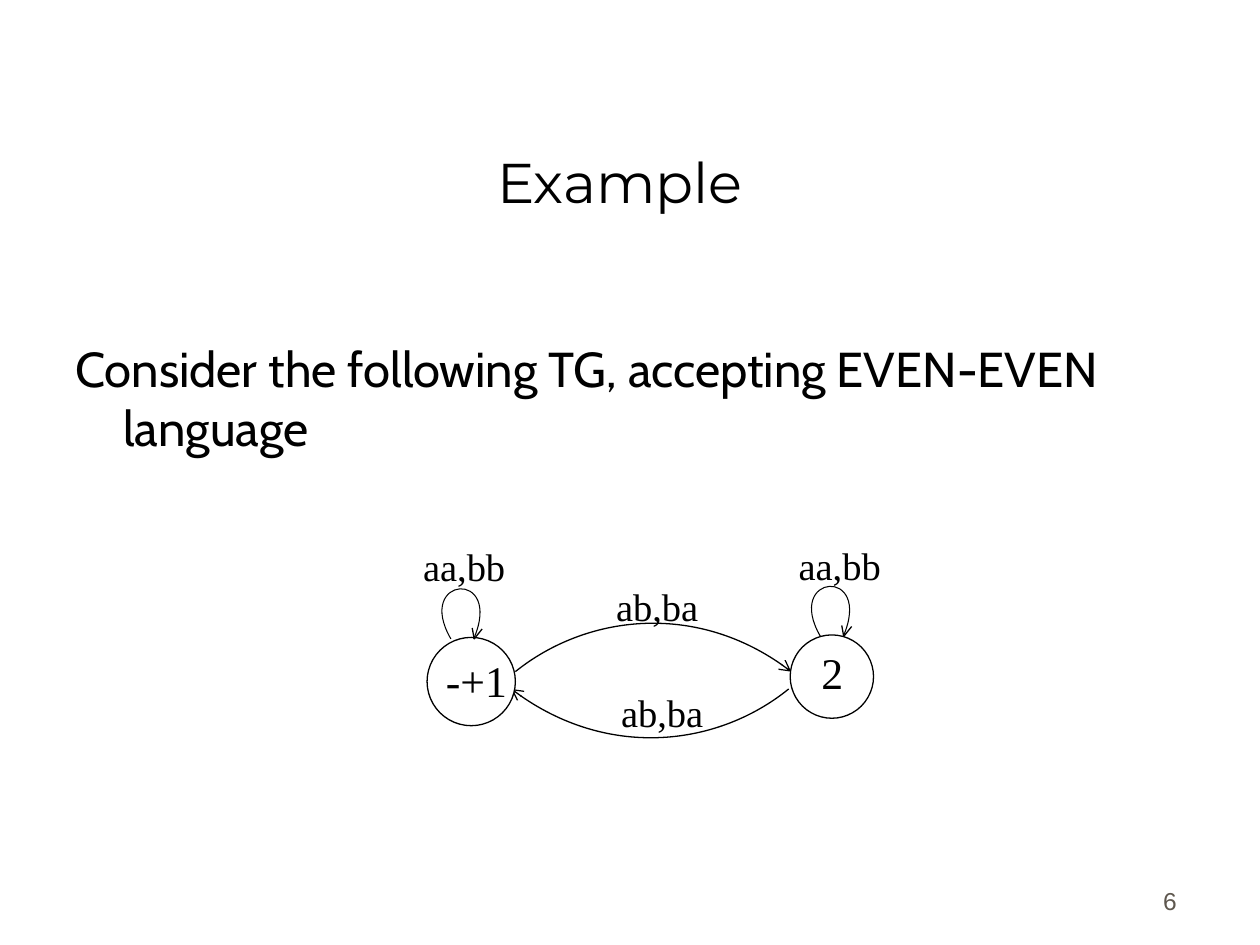
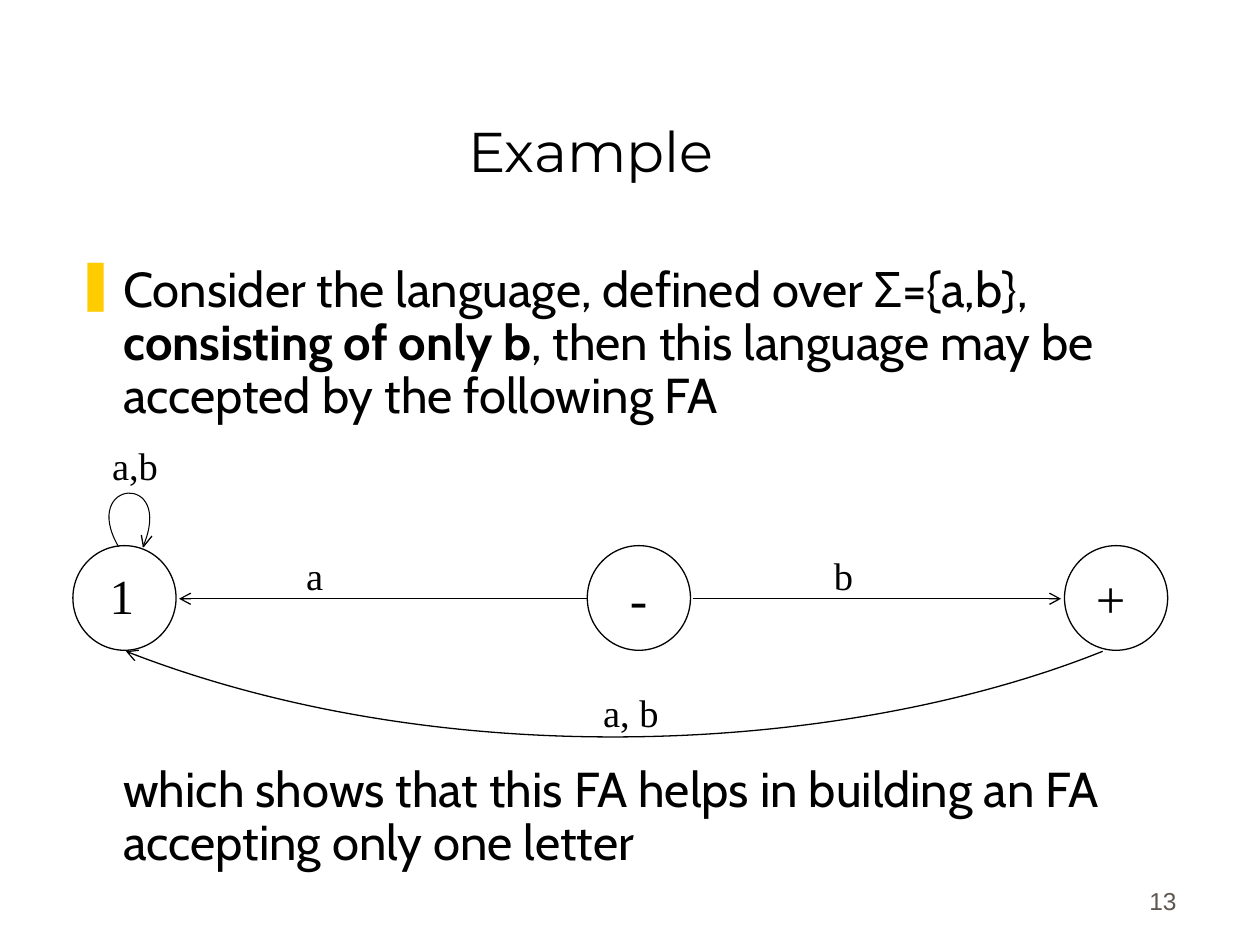
from pptx import Presentation
from pptx import util as u
from pptx.dml.color import RGBColor
from pptx.enum import shapes, text
from pptx.oxml import ns
from lxml import etree

BLACK, WHITE, GREY, YELLOW = "000000", "FFFFFF", "5E574E", "FFCC00"
TITLE_FONT, BODY_FONT, GRAPH_FONT, FOOTER_FONT = (
    "Montserrat", "Cabin", "Times New Roman", "Arial")
HANG = u.Cm(0.97)


def color(code):
    return RGBColor.from_string(code)


def child(parent, tag, **attributes):
    return etree.SubElement(parent, ns.qn(tag), **attributes)


class Deck:
    """Holds the shared style and the current slide."""

    def __init__(self):
        self.prs = Presentation()
        self.prs.slide_width, self.prs.slide_height = u.Cm(25.4), u.Cm(19.05)
        self.slide = None

    def new_slide(self, number, title_x, title_y):
        self.slide = self.prs.slides.add_slide(self.prs.slide_layouts[6])
        self.add_text(18.69, 17.3, 5.28, 1.27, [number], FOOTER_FONT, 14, GREY,
                      text.PP_ALIGN.RIGHT, text.MSO_ANCHOR.BOTTOM)
        self.add_text(title_x, title_y, 21.59, 3.18, ["Example"], TITLE_FONT, 32,
                      BLACK, text.PP_ALIGN.CENTER, text.MSO_ANCHOR.BOTTOM)

    def add_text(self, x, y, w, h, runs, font, size, ink=BLACK,
                 align=text.PP_ALIGN.LEFT, anchor=text.MSO_ANCHOR.TOP, wrap=True):
        """Add one paragraph; a run given as a tuple is bold."""
        box = self.slide.shapes.add_textbox(u.Cm(x), u.Cm(y), u.Cm(w), u.Cm(h))
        frame = box.text_frame
        frame.word_wrap, frame.vertical_anchor = wrap, anchor
        paragraph = frame.paragraphs[0]
        paragraph.alignment = align
        for words in runs:
            run = paragraph.add_run()
            run.font.bold = isinstance(words, tuple)
            run.text = words[0] if run.font.bold else words
            run.font.name, run.font.size = font, u.Pt(size)
            run.font.color.rgb = color(ink)
        return paragraph

    def body(self, y, h, runs, hanging=True, spacing=None, bullet=None):
        paragraph = self.add_text(1.27, y, 22.71, h, runs, BODY_FONT, 28)
        paragraph.line_spacing = spacing
        props = paragraph._p.get_or_add_pPr()
        props.set("marL", str(int(HANG)))
        props.set("indent", str(-int(HANG) if hanging else 0))
        if bullet:
            child(child(props, "a:buClr"), "a:srgbClr", val=YELLOW)
            child(props, "a:buChar", char=bullet)

    def label(self, x, y, words, size=22):
        self.add_text(x, y, 2.49, 1.7, [words], GRAPH_FONT, size)

    def state_name(self, x, y, w, words):
        self.add_text(x, y, w, 1.32, [words], GRAPH_FONT, 25, wrap=False)

    def outline(self, shape, width=0.75, arrow=False):
        shape.line.color.rgb = color(BLACK)
        shape.line.width = u.Pt(width)
        if arrow:
            child(shape.line._get_or_add_ln(), "a:tailEnd", type="arrow")

    def state(self, x, y, w, h):
        circle = self.slide.shapes.add_shape(
            shapes.MSO_SHAPE.OVAL, u.Cm(x), u.Cm(y), u.Cm(w), u.Cm(h))
        circle.shadow.inherit = False
        circle.fill.solid()
        circle.fill.fore_color.rgb = color(WHITE)
        self.outline(circle)

    def edge(self, x1, x2, y):
        """Draw a straight transition with an arrow at x2."""
        line = self.slide.shapes.add_connector(
            shapes.MSO_CONNECTOR.STRAIGHT, u.Cm(x1), u.Cm(y), u.Cm(x2), u.Cm(y))
        self.outline(line, arrow=True)
        child(line._element.spPr, "a:effectLst")

    def polyline(self, points, width=0.75, arrow=False):
        start, *rest = [(u.Cm(x), u.Cm(y)) for x, y in points]
        builder = self.slide.shapes.build_freeform(*start)
        builder.add_line_segments(rest, close=False)
        drawn = builder.convert_to_shape()
        drawn.shadow.inherit = False
        drawn.fill.background()
        self.outline(drawn, width, arrow)
        return drawn

    def curve(self, points, width=0.75, arrow=True):
        """Draw a cubic curve: start, two control points, end."""
        drawn = self.polyline(points, width, arrow)
        segments = list(drawn._element.iter(ns.qn("a:lnTo")))
        bezier = child(segments[0].getparent(), "a:cubicBezTo")
        for segment in segments:
            bezier.append(segment[0])
            segment.getparent().remove(segment)

    def loop(self, x, y, scale=1.0):
        """Draw a self-transition that leaves the state at x, y."""
        def place(offsets):
            return [(x + dx * scale, y + dy * scale) for dx, dy in offsets]
        self.curve(place([(0, 0), (-0.74, -1.27), (1.07, -1.42), (0.46, 0)]),
                   width=0.6, arrow=False)
        self.polyline(place([(0.63, -0.2), (0.47, 0), (0.43, -0.22)]))


def even_even(deck):
    deck.new_slide("6", 1.7, 1.27)
    deck.body(6.7, 3, ["Consider the following TG, accepting EVEN-EVEN language"])

    # States and transitions
    deck.state(15.93, 12.8, 1.68, 1.68)
    deck.loop(16.54, 12.83)
    deck.curve([(15.9, 13.89), (14.48, 15.04), (12.17, 15.32), (10.31, 13.89)])
    deck.state(8.61, 12.85, 1.78, 1.78)
    deck.loop(9.09, 12.88)
    deck.curve([(10.39, 13.54), (11.81, 12.4), (14.12, 12.12), (15.95, 13.54)])

    # Labels
    for x, y, letters in [(8.28, 10.82, "aa,bb"), (12.17, 11.63, "ab,ba"),
                          (12.27, 13.77, "ab,ba"), (15.85, 10.8, "aa,bb")]:
        deck.label(x, y, letters)
    deck.state_name(8.74, 13.06, 1.73, "-+1")
    deck.state_name(16.31, 12.9, 0.94, "2")


def only_b(deck):
    deck.new_slide("13", 1.12, 0.64)
    deck.body(5.23, 4, ["Consider the language, defined over Σ={a,b}, ",
                        ("consisting of only b",),
                        ", then this language may be accepted by the following FA"],
              spacing=0.9, bullet="❚")
    deck.body(15.3, 2.86, ["which shows that this FA helps in building an FA "
                           "accepting only one letter"],
              hanging=False, spacing=0.9)

    # States with their names
    for x, name_x, name, size in [(1.47, 1.96, "1", 28), (11.84, 12.45, "-", 30),
                                  (21.46, 21.84, "+", 30)]:
        deck.state(x, 11, 2.08, 2.11)
        deck.label(name_x, 11.28, name, size)

    # Transitions
    deck.edge(11.84, 3.61, 12.07)
    deck.edge(13.97, 21.39, 12.07)
    deck.loop(2.39, 11.02, 1.07)
    deck.curve([(22.23, 13.13), (17.17, 15.16), (9.04, 15.67), (2.54, 13.13)])
    for x, y, letters in [(5.92, 11, "a"), (2.01, 8.79, "a,b"),
                          (16.56, 11, "b"), (11.91, 13.77, "a, b")]:
        deck.label(x, y, letters)


def main():
    deck = Deck()
    even_even(deck)
    only_b(deck)
    deck.prs.save("out.pptx")


if __name__ == "__main__":
    main()
